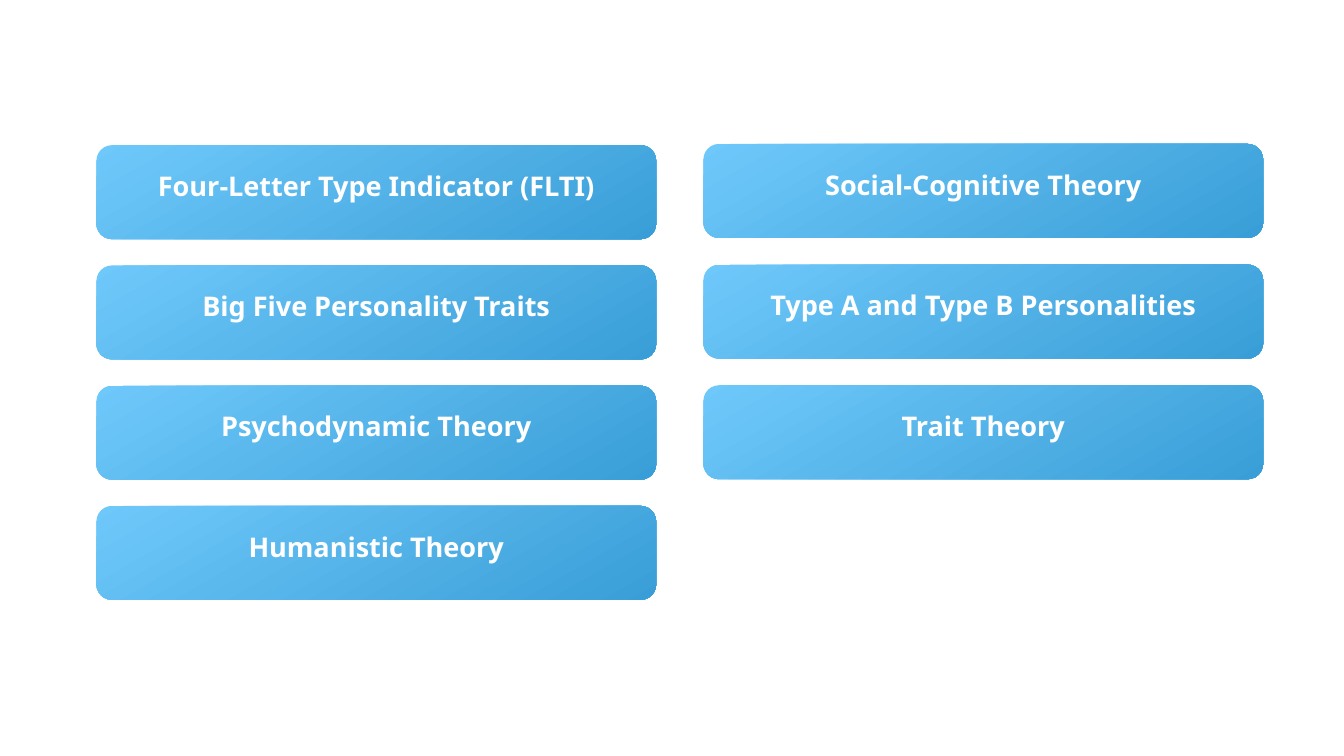
from dataclasses import dataclass

from pptx import Presentation
from pptx.dml.color import RGBColor
from pptx.enum.shapes import MSO_SHAPE
from pptx.enum.text import MSO_ANCHOR, PP_ALIGN
from pptx.slide import Slide
from pptx.util import Pt


@dataclass(frozen=True)
class Theme:
    font: str = "Noto Sans"
    size: float = 16
    ink: RGBColor = RGBColor(0xFF, 0xFF, 0xFF)
    light: RGBColor = RGBColor(0x6F, 0xC8, 0xFA)
    deep: RGBColor = RGBColor(0x39, 0x9E, 0xD7)
    angle: float = 300


@dataclass(frozen=True)
class Column:
    left: float
    top: float
    step: float
    names: tuple[str, ...]


THEME = Theme()
CARD_W, CARD_H = 330.5, 55.5

COLUMNS = (
    Column(56.9, 85.75, 71, (
        "Four-Letter Type Indicator (FLTI)",
        "Big Five Personality Traits",
        "Psychodynamic Theory",
        "Humanistic Theory",
    )),
    Column(415.25, 85, 71.25, (
        "Social-Cognitive Theory",
        "Type A and Type B Personalities",
        "Trait Theory",
    )),
)


def add_card(slide: Slide, left: float, top: float, name: str) -> None:
    card = slide.shapes.add_shape(
        MSO_SHAPE.FLOWCHART_ALTERNATE_PROCESS,
        Pt(left), Pt(top), Pt(CARD_W), Pt(CARD_H))
    card.shadow.inherit = False
    card.line.fill.background()

    # Gradient fill
    card.fill.gradient()
    card.fill.gradient_angle = THEME.angle
    for stop, color in zip(card.fill.gradient_stops, (THEME.light, THEME.deep)):
        stop.color.rgb = color

    # Label
    frame = card.text_frame
    frame.word_wrap = True
    frame.vertical_anchor = MSO_ANCHOR.TOP
    frame.margin_left = frame.margin_right = Pt(10)
    frame.margin_top, frame.margin_bottom = Pt(11.5), Pt(3.6)
    frame.text = name
    label = frame.paragraphs[0]
    label.alignment = PP_ALIGN.CENTER
    font = label.runs[0].font
    font.name, font.size, font.bold = THEME.font, Pt(THEME.size), True
    font.color.rgb = THEME.ink


def add_column(slide: Slide, column: Column) -> None:
    for row, name in enumerate(column.names):
        add_card(slide, column.left, column.top + row * column.step, name)


def main() -> None:
    # Blank slide
    deck = Presentation()
    deck.slide_width, deck.slide_height = Pt(793.44), Pt(446.4)
    slide = deck.slides.add_slide(deck.slide_layouts[6])

    # Theory cards
    for column in COLUMNS:
        add_column(slide, column)

    deck.save("out.pptx")


if __name__ == "__main__":
    main()
